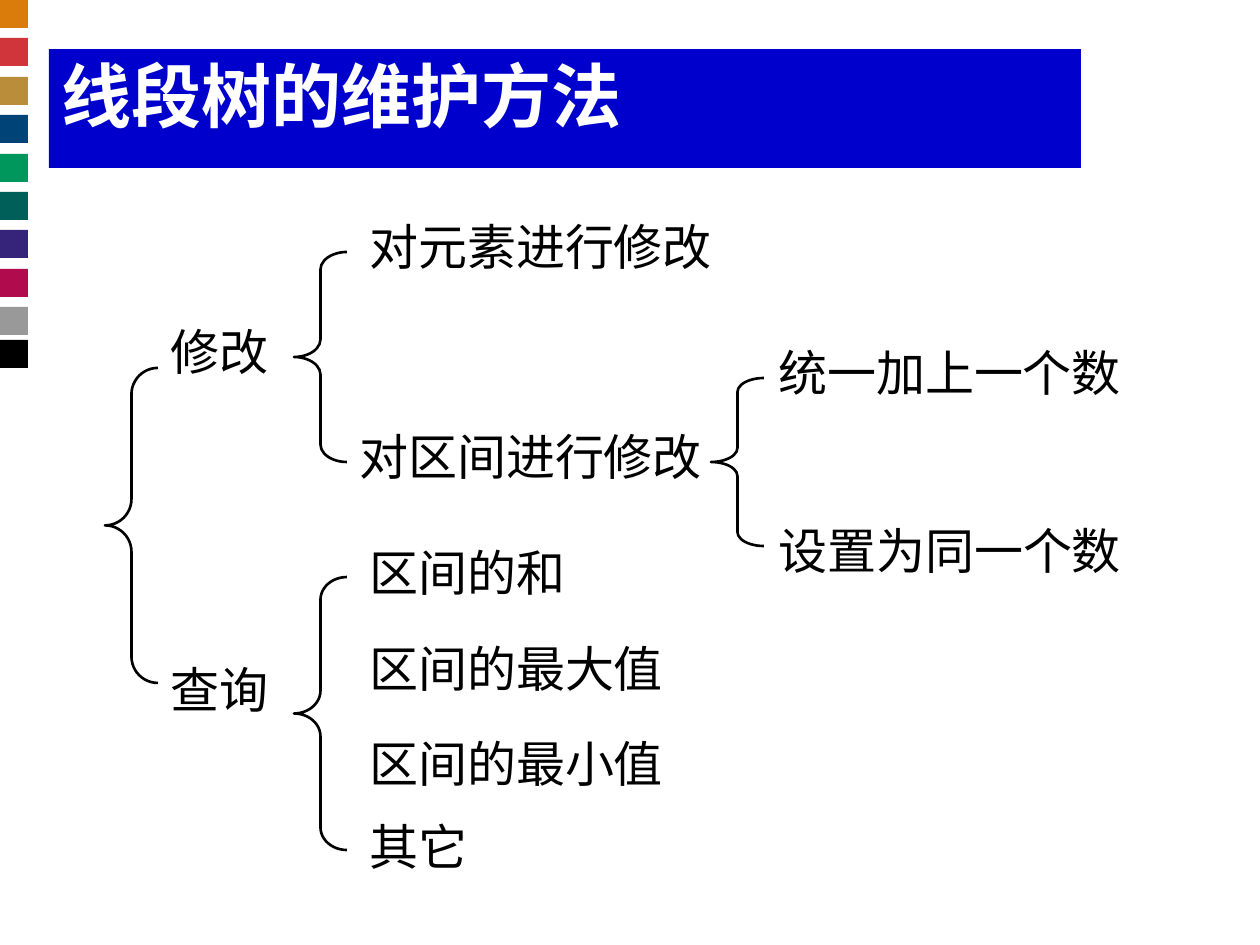
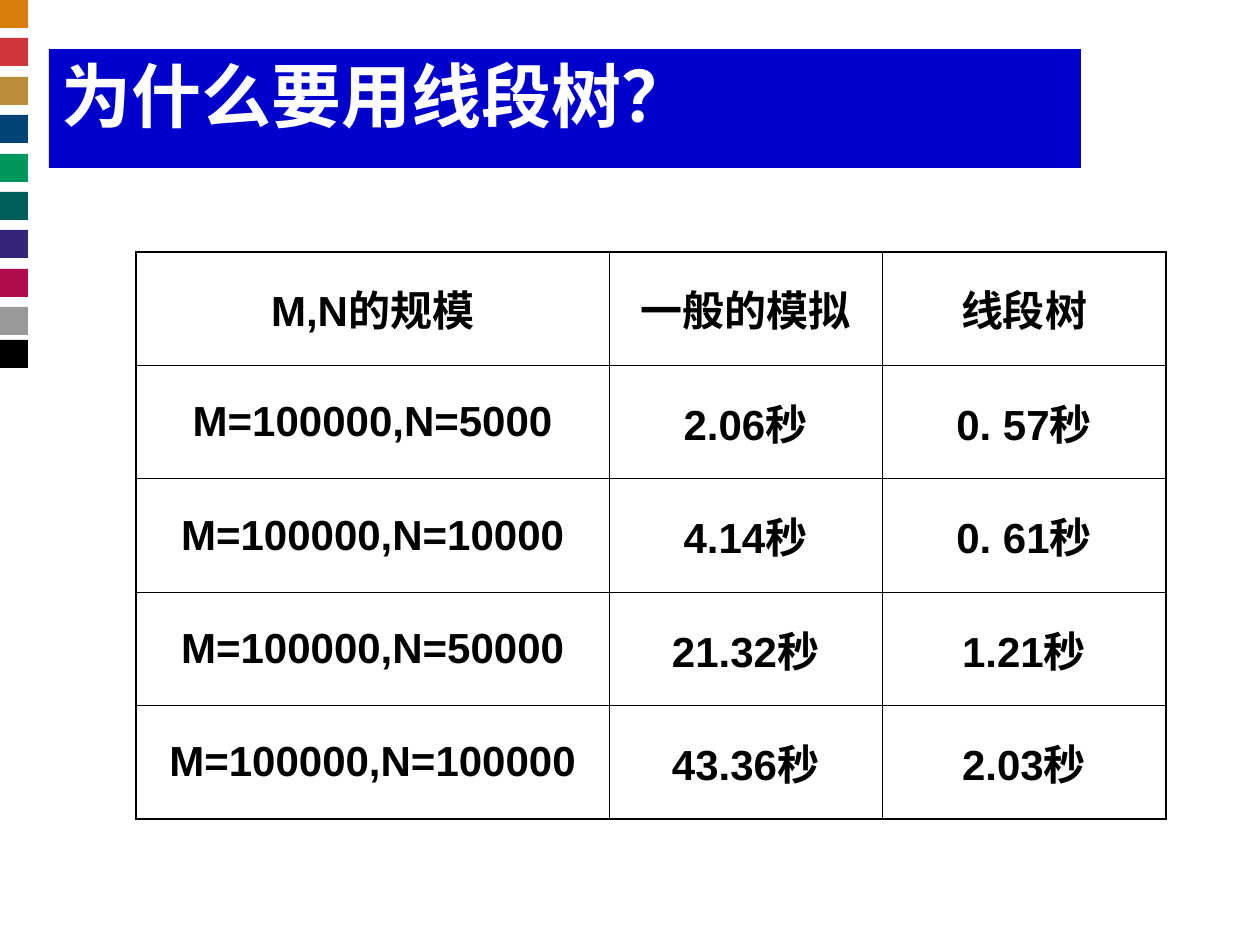
from lxml import etree
from pptx import Presentation
from pptx.dml.color import RGBColor
from pptx.enum.shapes import MSO_SHAPE
from pptx.enum.text import MSO_ANCHOR, MSO_AUTO_SIZE, PP_ALIGN
from pptx.oxml.ns import qn
from pptx.util import Pt

RECTANGLE = MSO_SHAPE.RECTANGLE
LEFT_BRACE = MSO_SHAPE.LEFT_BRACE
TOP, MIDDLE = MSO_ANCHOR.TOP, MSO_ANCHOR.MIDDLE
LEFT, CENTER = PP_ALIGN.LEFT, PP_ALIGN.CENTER
GROW = MSO_AUTO_SIZE.SHAPE_TO_FIT_TEXT

EMU_PER_PX = 914400 / 126
FONT = "Arial"
COLORS = {"title_band": "0000CC", "title_text": "FFFFFF", "ink": "000000"}
STRIPES = ["DA7C0C", "CF353B", "BA8D3A", "004477", "00975D",
           "005F58", "35247A", "B00B4C", "999999", "000000"]
OUTER_RULE, INNER_RULE = 1.08, 0.45


def px(length):
    return round(length * EMU_PER_PX)


def color(name):
    return RGBColor.from_string(COLORS.get(name, name))


class SlideWriter:
    """Holds the shared style and the slide being filled."""

    def __init__(self):
        self.deck = Presentation()
        self.deck.slide_width, self.deck.slide_height = px(1260), px(945)
        self.page = None

    def new_page(self, title):
        self.page = self.deck.slides.add_slide(self.deck.slide_layouts[6])
        # Colour stripes down the left edge; the last one sits closer
        for index, stripe in enumerate(STRIPES):
            self.block(0, min(round(index * 38.4), 340), 28, 28, stripe)
        # Title band
        band = self.block(49, 49, 1032, 119, "title_band")
        frame = band.text_frame
        frame.word_wrap = True
        frame.vertical_anchor = TOP
        frame.margin_left = frame.margin_right = px(13)
        frame.margin_top = frame.margin_bottom = px(13)
        frame.text = title
        para = frame.paragraphs[0]
        para.line_spacing = 0.9
        self.format(para, 40, "title_text", bold=True)

    def format(self, para, size, ink="ink", bold=False, align=LEFT):
        para.alignment = align
        for span in para.runs:
            span.font.name = FONT
            span.font.size = Pt(size)
            span.font.bold = bold
            span.font.color.rgb = color(ink)

    def block(self, left, top, width, height, fill):
        box = self.page.shapes.add_shape(
            RECTANGLE, px(left), px(top), px(width), px(height))
        box.shadow.inherit = False
        box.fill.solid()
        box.fill.fore_color.rgb = color(fill)
        box.line.fill.background()
        return box

    def label(self, left, top, width, text):
        box = self.page.shapes.add_textbox(px(left), px(top), px(width), px(72))
        frame = box.text_frame
        frame.word_wrap = True
        frame.auto_size = GROW
        frame.text = text
        self.format(frame.paragraphs[0], 28)

    def brace(self, left, top, height, width=53):
        shape = self.page.shapes.add_shape(
            LEFT_BRACE, px(left), px(top), px(width), px(height))
        shape.shadow.inherit = False
        shape.fill.background()
        shape.line.color.rgb = color("ink")
        shape.line.width = Pt(1.5)
        # Each curve is one twelfth of the brace's height
        shape.adjustments[0] = height / 12 / width

    def border(self, cell, weights):
        properties = cell._tc.get_or_add_tcPr()
        for position, (side, weight) in enumerate(weights.items()):
            line = etree.Element(qn(f"a:ln{side}"), w=str(Pt(weight)))
            fill = etree.SubElement(line, qn("a:solidFill"))
            etree.SubElement(fill, qn("a:srgbClr"), val=COLORS["ink"])
            properties.insert(position, line)

    def table(self, left, top, widths, height, rows):
        last_row, last_column = len(rows) - 1, len(widths) - 1
        table = self.page.shapes.add_table(
            len(rows), len(widths), px(left), px(top),
            px(sum(widths)), px(height)).table
        table.first_row = table.horz_banding = False
        for column, width in zip(table.columns, widths):
            column.width = px(width)
        for r, values in enumerate(rows):
            for c, value in enumerate(values):
                cell = table.cell(r, c)
                cell.text = value
                cell.vertical_anchor = MIDDLE
                cell.fill.background()
                self.format(cell.text_frame.paragraphs[0], 24, bold=True, align=CENTER)
                outer = {"L": c == 0, "R": c == last_column,
                         "T": r == 0, "B": r == last_row}
                self.border(cell, {side: OUTER_RULE if edge else INNER_RULE
                                   for side, edge in outer.items()})


def maintenance_page(writer):
    writer.new_page("线段树的维护方法")
    # Braces: left, top, height
    for brace in [(105, 368, 315), (294, 252, 210), (294, 577, 273), (711, 378, 168)]:
        writer.brace(*brace)
    # Tree labels: left, top, width, text
    for label in [
        (158, 315, 126, "修改"),
        (158, 653, 126, "查询"),
        (357, 210, 378, "对元素进行修改"),
        (347, 420, 378, "对区间进行修改"),
        (766, 336, 378, "统一加上一个数"),
        (766, 514, 420, "设置为同一个数"),
        (357, 536, 231, "区间的和"),
        (357, 632, 368, "区间的最大值"),
        (357, 727, 368, "区间的最小值"),
        (357, 810, 126, "其它"),
    ]:
        writer.label(*label)


def timing_page(writer):
    writer.new_page("为什么要用线段树？")
    writer.table(136, 252, [473, 273, 284], 567, [
        ("M,N的规模", "一般的模拟", "线段树"),
        ("M=100000,N=5000", "2.06秒", "0. 57秒"),
        ("M=100000,N=10000", "4.14秒", "0. 61秒"),
        ("M=100000,N=50000", "21.32秒", "1.21秒"),
        ("M=100000,N=100000", "43.36秒", "2.03秒"),
    ])


def main():
    writer = SlideWriter()
    maintenance_page(writer)
    timing_page(writer)
    writer.deck.save("out.pptx")


if __name__ == "__main__":
    main()
